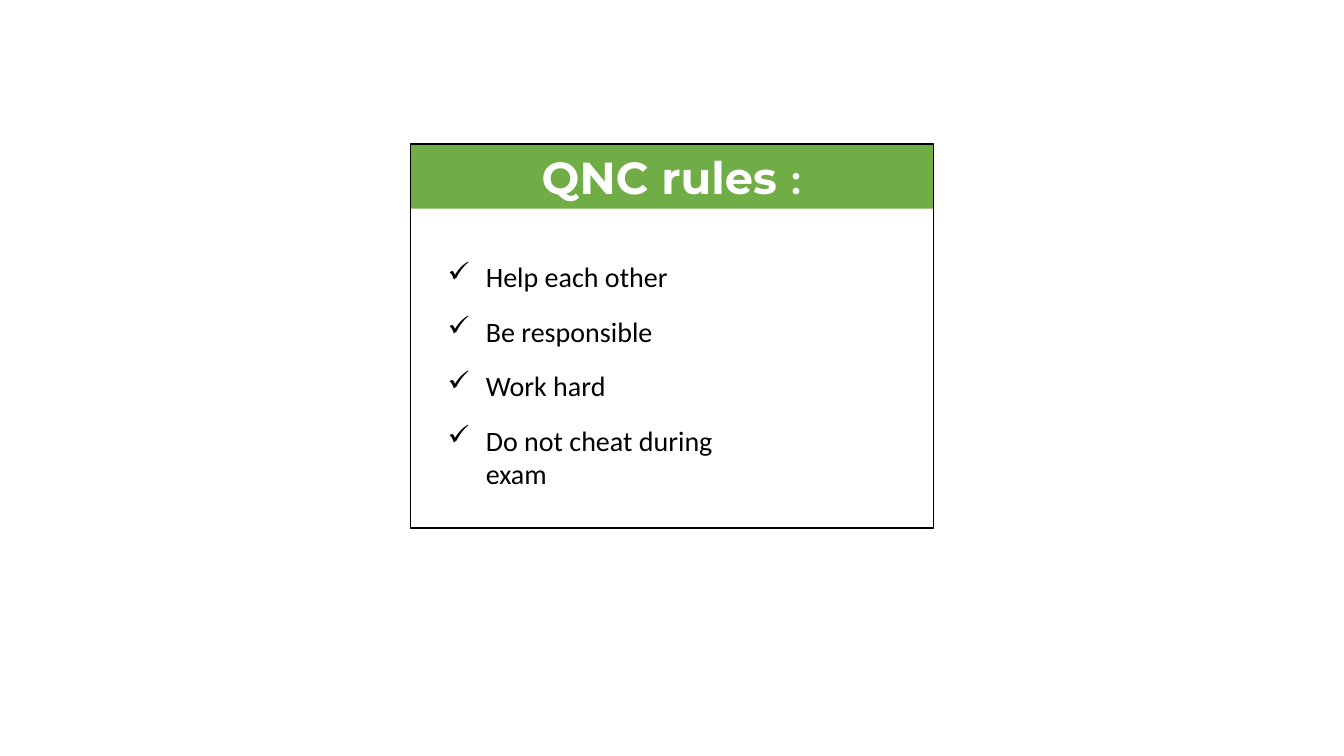
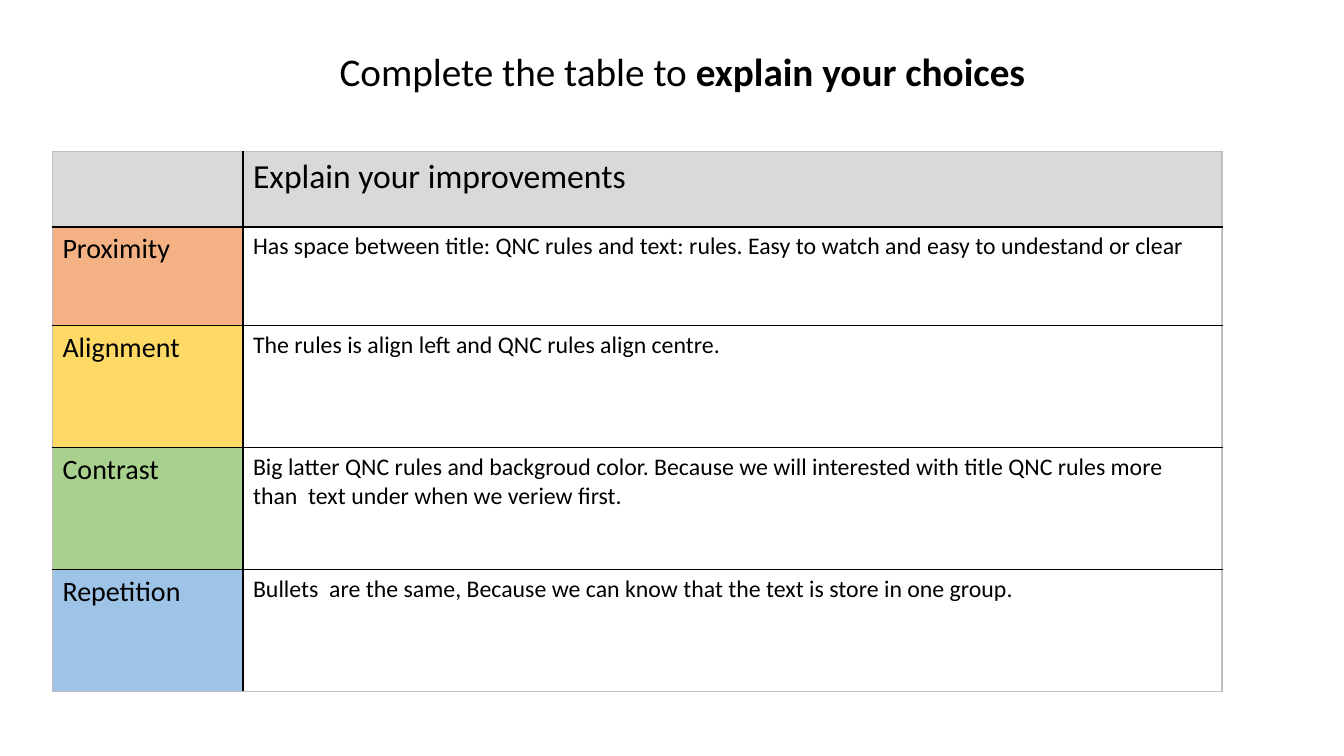
"""Build a rules card and a table that explains its design choices."""
from lxml import etree
from pptx import Presentation
from pptx.dml.color import RGBColor
from pptx.enum import shapes, text
from pptx.oxml import ns
from pptx.util import Inches, Pt

COLORS = {"ink": "000000", "white": "FFFFFF", "band": "70AD47", "header": "D9D9D9", "edge": "BFBFBF",
          "orange": "F4B183", "yellow": "FFD966", "green": "A9D18E", "blue": "9DC3E6"}
BODY_FONT = "Calibri"
TITLE_FONT = "Montserrat"

CARD_TITLE = [("QNC rules ", TITLE_FONT, True), (":", BODY_FONT, True)]
RULES = ["Help each other", "Be responsible", "Work hard", "Do not cheat during exam"]
TABLE_TITLE = [("Complete the table to ", BODY_FONT, False), ("explain your choices", BODY_FONT, True)]
TABLE_HEADER = "Explain your improvements"
PRINCIPLES = [
    ("Proximity", "orange", 0.98,
     "Has space between title: QNC rules and text: rules. "
     "Easy to watch and easy to undestand or clear"),
    ("Alignment", "yellow", 1.21, "The rules is align left and QNC rules align centre."),
    ("Contrast", "green", 1.21,
     "Big latter QNC rules and backgroud color. Because we will interested "
     "with title QNC rules more than  text under when we veriew first."),
    ("Repetition", "blue", 1.21,
     "Bullets  are the same, Because we can know that the text is store in one group."),
]
HEADER_HEIGHT = 0.75
COLUMNS = [1.89, 9.71]
CARD = {"left": 4.07, "top": 1.43, "width": 5.19, "band": 0.64, "height": 3.81}
RULE_TOP, RULE_STEP = 2.53, 0.54


def rgb(name):
    return RGBColor.from_string(COLORS[name])


def style(span, size, color="ink", font=BODY_FONT, bold=False):
    span.font.size = Pt(size)
    span.font.name = font
    span.font.bold = bold
    span.font.color.rgb = rgb(color)


def write_spans(para, spans, size, color="ink"):
    for words, font, bold in spans:
        span = para.add_run()
        span.text = words
        style(span, size, color, font, bold)


def add_rect(page, height, fill=None, line=None):
    box = page.shapes.add_shape(shapes.MSO_SHAPE.RECTANGLE, Inches(CARD["left"]), Inches(CARD["top"]),
                                Inches(CARD["width"]), Inches(height))
    box.shadow.inherit = False
    if fill:
        box.fill.solid()
        box.fill.fore_color.rgb = rgb(fill)
    else:
        box.fill.background()
    if line:
        box.line.color.rgb = rgb(line)
        box.line.width = Pt(1)
    else:
        box.line.fill.background()
    return box


def add_text(page, left, top, width, height, wrap=True):
    box = page.shapes.add_textbox(Inches(left), Inches(top), Inches(width), Inches(height))
    box.text_frame.word_wrap = wrap
    return box.text_frame.paragraphs[0]


def add_check(para):
    props = para._p.get_or_add_pPr()
    props.set("marL", str(Inches(0.38)))
    props.set("indent", str(Inches(-0.38)))
    etree.SubElement(props, ns.qn("a:buChar")).set("char", "✓")


def set_borders(cell, borders):
    props = cell._tc.get_or_add_tcPr()
    for place, (side, (color, width)) in enumerate(borders.items()):
        line = etree.Element(ns.qn("a:ln" + side), w=str(Pt(width)))
        fill = etree.SubElement(line, ns.qn("a:solidFill"))
        etree.SubElement(fill, ns.qn("a:srgbClr")).set("val", COLORS[color])
        props.insert(place, line)


def fill_cell(cell, words, size, fill=None):
    if fill:
        cell.fill.solid()
        cell.fill.fore_color.rgb = rgb(fill)
    else:
        cell.fill.background()
    para = cell.text_frame.paragraphs[0]
    para.text = words
    for span in para.runs:
        style(span, size)


def build_card(page):
    band = add_rect(page, CARD["band"], fill="band")
    band.text_frame.vertical_anchor = text.MSO_ANCHOR.MIDDLE
    title = band.text_frame.paragraphs[0]
    title.alignment = text.PP_ALIGN.CENTER
    write_spans(title, CARD_TITLE, 32, "white")
    add_rect(page, CARD["height"], line="ink")
    for index, rule in enumerate(RULES):
        para = add_text(page, 4.34, RULE_TOP + index * RULE_STEP, 3.22, 0.44)
        para.text = rule
        style(para.runs[0], 20)
        add_check(para)


def build_table(page):
    heights = [HEADER_HEIGHT] + [height for _, _, height, _ in PRINCIPLES]
    frame = page.shapes.add_table(len(heights), len(COLUMNS), Inches(0.52), Inches(1.5),
                                  Inches(sum(COLUMNS)), Inches(sum(heights)))
    table = frame.table
    for column, width in zip(table.columns, COLUMNS):
        column.width = Inches(width)
    for row, height in zip(table.rows, heights):
        row.height = Inches(height)
    fill_cell(table.cell(0, 0), "", 24, "header")
    fill_cell(table.cell(0, 1), TABLE_HEADER, 24, "header")
    for row, (name, color, _, reason) in enumerate(PRINCIPLES, 1):
        fill_cell(table.cell(row, 0), name, 20, color)
        fill_cell(table.cell(row, 1), reason, 17)
    outer, inner, heavy = ("edge", 1), ("ink", 1), ("ink", 2)
    levels = [outer, heavy] + [inner] * (len(heights) - 2) + [outer]
    uprights = [outer, inner, outer]
    for row in range(len(heights)):
        for column in range(len(COLUMNS)):
            set_borders(table.cell(row, column), {
                "L": uprights[column], "R": uprights[column + 1],
                "T": levels[row], "B": levels[row + 1]})
    write_spans(add_text(page, 3.27, 0.42, 7.07, 0.57, wrap=False), TABLE_TITLE, 28)


def main():
    deck = Presentation()
    deck.slide_width, deck.slide_height = Inches(13.33), Inches(7.5)
    for build in (build_card, build_table):
        build(deck.slides.add_slide(deck.slide_layouts[6]))
    deck.save("out.pptx")


if __name__ == "__main__":
    main()
